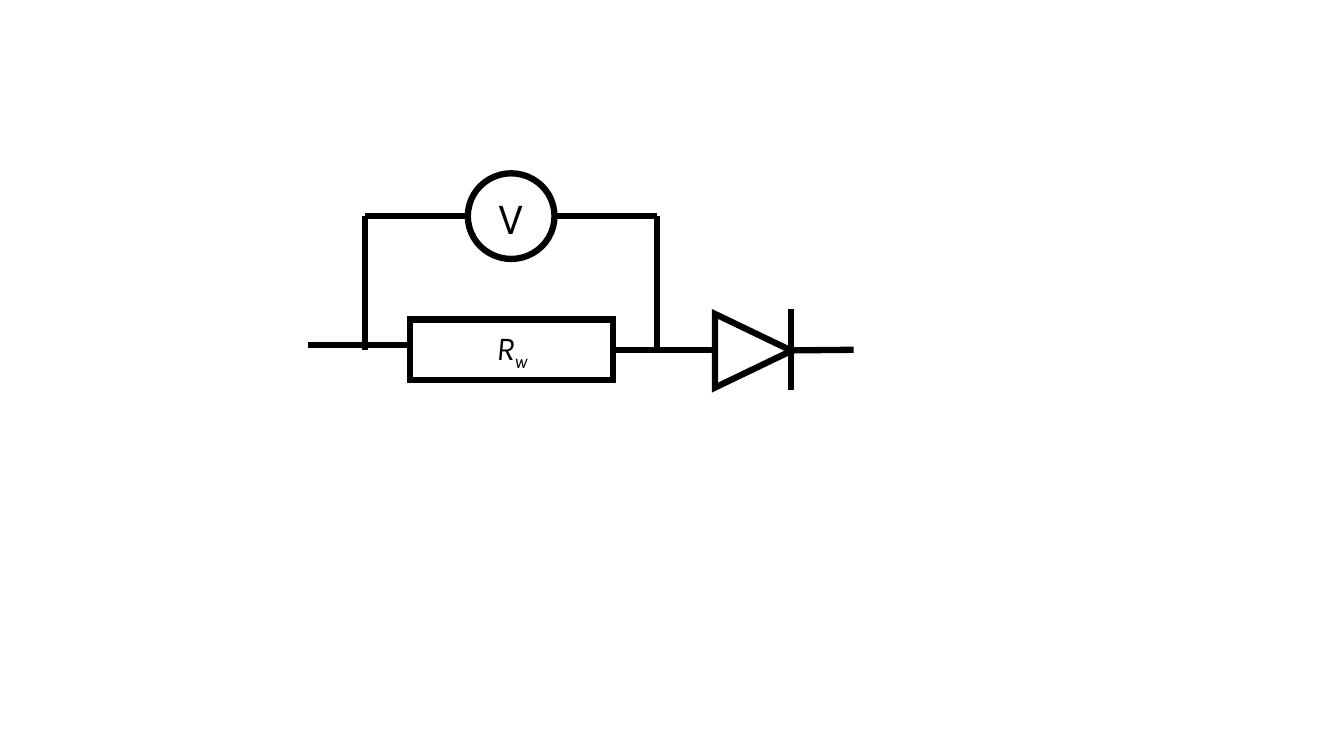
from pptx import Presentation
from pptx.dml.color import RGBColor
from pptx.enum.shapes import MSO_CONNECTOR, MSO_SHAPE
from pptx.enum.text import MSO_ANCHOR, PP_ALIGN
from pptx.oxml.ns import qn
from pptx.util import Inches, Pt
from lxml import etree

STRAIGHT = MSO_CONNECTOR.STRAIGHT
OVAL, RECT, TRIANGLE = MSO_SHAPE.OVAL, MSO_SHAPE.RECTANGLE, MSO_SHAPE.ISOSCELES_TRIANGLE
MIDDLE, CENTER = MSO_ANCHOR.MIDDLE, PP_ALIGN.CENTER
RIGHT_SIDE = 3
COLORS = {"ink": "000000"}
INK = RGBColor.from_string(COLORS["ink"])
FONT = "Karla"
STROKE = Pt(4.5)

prs = Presentation()
prs.slide_width, prs.slide_height = Inches(13.33), Inches(7.5)
slide = prs.slides.add_slide(prs.slide_layouts[6])

# Grid of 100 columns by 100 rows
COL, ROW = prs.slide_width / 100, prs.slide_height / 100


def add_component(kind, left, top, width, height):
    """Outlined circuit symbol with sharp corners."""
    sp = slide.shapes.add_shape(kind, int(left * COL), int(top * ROW),
                                int(width * COL), int(height * ROW))
    sp.shadow.inherit = False
    sp.fill.background()
    sp.line.color.rgb = INK
    sp.line.width = STROKE
    etree.SubElement(sp.line._get_or_add_ln(), qn("a:miter")).set("lim", "800000")
    return sp


voltmeter = add_component(OVAL, 34.81, 22.93, 6.45, 11.33)
resistor = add_component(RECT, 30.53, 42.27, 15.08, 8)
diode = add_component(TRIANGLE, 53.31, 41.33, 5.48, 10.13)
diode.rotation = 90

for sp, letters, size, italic in ((voltmeter, "V", 32, False), (resistor, "Rw", 24, True)):
    sp.text_frame.vertical_anchor = MIDDLE
    p = sp.text_frame.paragraphs[0]
    p.alignment = CENTER
    for letter in letters:
        r = p.add_run()
        r.text = letter
        r.font.name = FONT
        r.font.size = Pt(size)
        r.font.italic = italic
        r.font.color.rgb = INK
subscript = resistor.text_frame.paragraphs[0].runs[1]
subscript.font._element.set("baseline", "-25000")

# Node columns and rows shared by the wires
tap_left, tap_right, cathode = 27.16, 48.88, 58.86
meter_row, input_row, main_row = 28.6, 45.6, 46.27
resistor_right = 45.61
wires = [
    (34.81, meter_row, tap_left, meter_row),
    (tap_right, meter_row, 41.26, meter_row),
    (30.53, input_row, 22.91, input_row),
    (53.19, main_row, resistor_right, main_row),
    (tap_right, main_row, tap_right, meter_row),
    (tap_left, main_row, tap_left, meter_row),
    (cathode, 51.6, cathode, 40.87),
    (63.51, 46.27, cathode, 46.35),
]
for x1, y1, x2, y2 in wires:
    wire = slide.shapes.add_connector(STRAIGHT, int(x1 * COL), int(y1 * ROW),
                                      int(x2 * COL), int(y2 * ROW))
    wire.line.color.rgb = INK
    wire.line.width = STROKE
    etree.SubElement(wire._element.spPr, qn("a:effectLst"))
    if x2 == resistor_right:
        wire.end_connect(resistor, RIGHT_SIDE)

prs.save("out.pptx")
